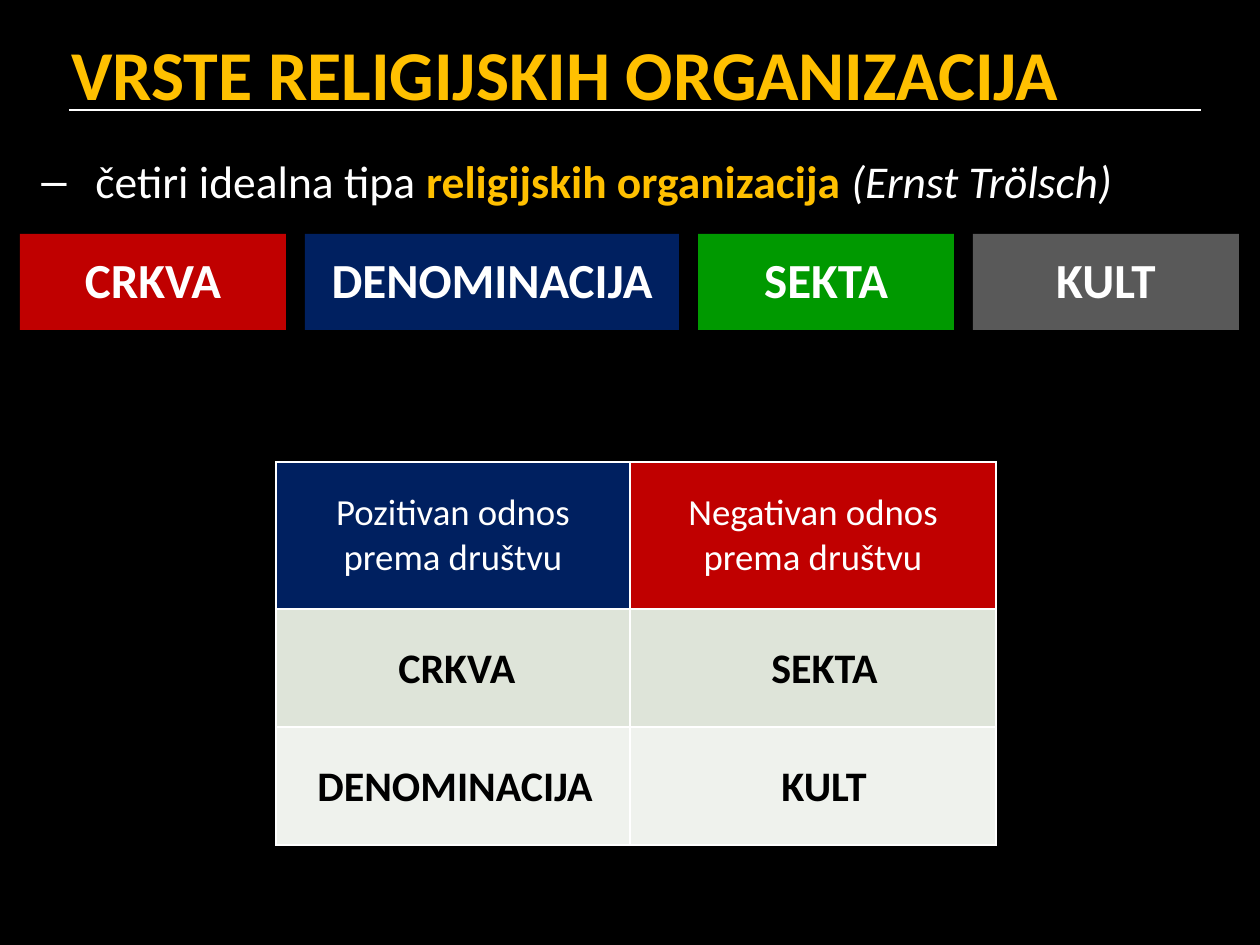
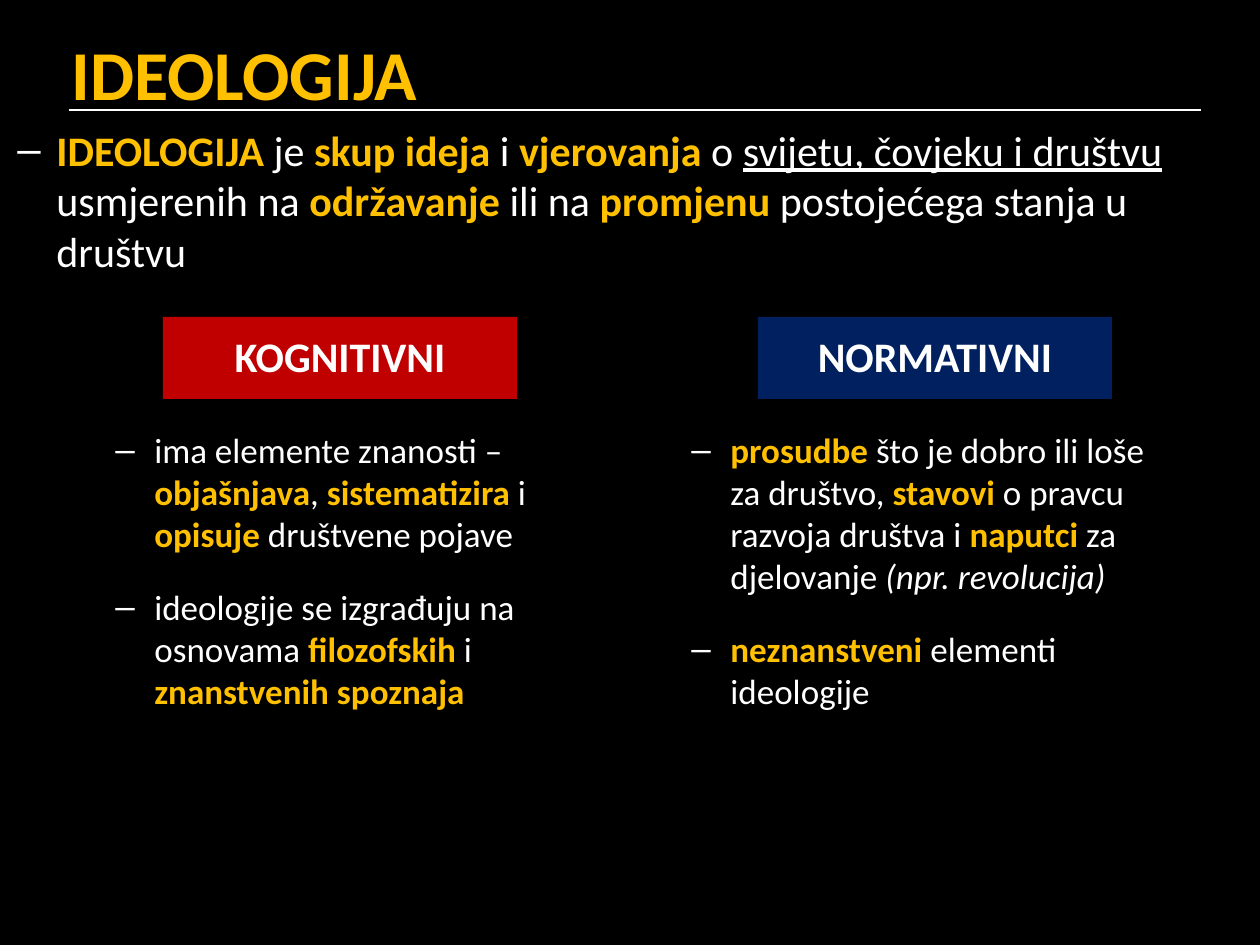
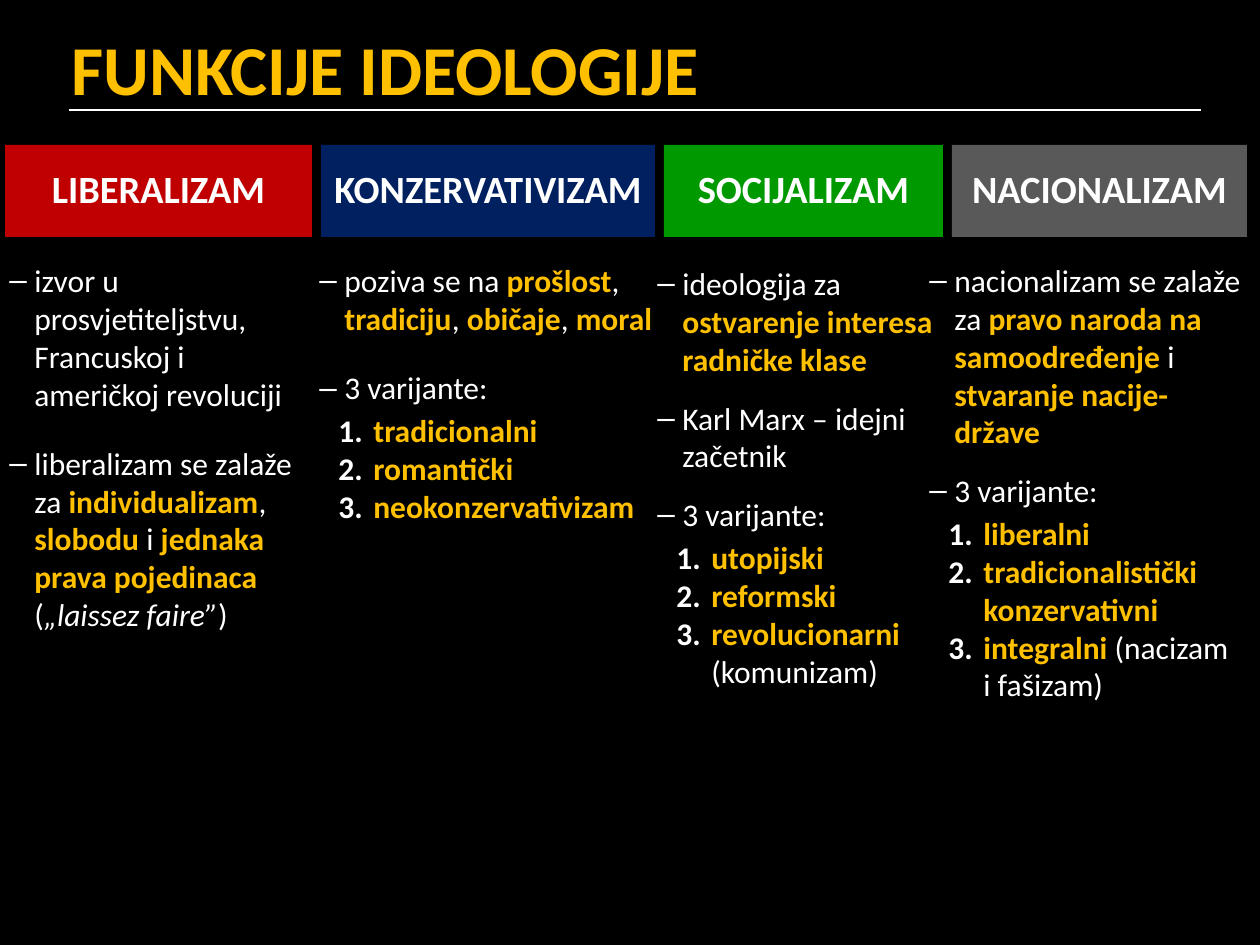
from lxml import etree
from pptx import Presentation
from pptx.dml.color import RGBColor
from pptx.enum.shapes import MSO_CONNECTOR, MSO_SHAPE
from pptx.enum.text import MSO_ANCHOR, MSO_AUTO_SIZE, PP_ALIGN
from pptx.oxml.ns import qn
from pptx.util import Emu, Pt

EMU_PER_PX = 914400 / 126
FONT = "Calibri"
BLACK, WHITE, GOLD = "000000", "FFFFFF", "FFC000"
RED, NAVY, GREEN, GRAY = "C00000", "002060", "009900", "595959"
TABLE_BANDS = ["DEE4D9", "EFF2ED"]
TIGHT = 0.93


def px(length):
    return Emu(round(length * EMU_PER_PX))


def color(value):
    return RGBColor.from_string(value)


def style_span(span, size, ink=WHITE, bold=False):
    span.font.name = FONT
    span.font.size = Pt(size)
    span.font.color.rgb = color(ink)
    span.font.bold = bold


def set_line(frame, text, size, ink=WHITE, bold=True):
    frame.text = text
    para = frame.paragraphs[0]
    style_span(para.runs[0], size, ink, bold)
    return para


def add_spans(para, text, size):
    """Parts are split by |; a first * means key term, / italic, _ underlined."""
    for part in text.split("|"):
        mark = part[0] if part[0] in "*/_" else ""
        span = para.add_run()
        span.text = part[len(mark):]
        style_span(span, size, GOLD if mark == "*" else WHITE, mark == "*")
        if mark == "/":
            span.font.italic = True
        if mark == "_":
            span.font.underline = True


def set_bullet(para, left, hanging, tag, **attributes):
    props = para._p.get_or_add_pPr()
    props.set("marL", str(px(left)))
    props.set("indent", str(-px(hanging)))
    tint = etree.SubElement(props, qn("a:buClr"))
    etree.SubElement(tint, qn("a:srgbClr"), val=WHITE)
    if tag == "a:buChar":
        etree.SubElement(props, qn("a:buFont"), typeface="Arial")
    etree.SubElement(props, qn(tag), **attributes)


def add_box(slide, place, wrap=True):
    box = slide.shapes.add_textbox(*map(px, place))
    box.text_frame.word_wrap = wrap
    return box


def add_points(slide, place, size, indent, points, dash="–", variants=()):
    """Dashed points as (space before, text), then numbered variants."""
    frame = add_box(slide, place).text_frame
    for index, (space, text) in enumerate(points):
        para = frame.add_paragraph() if index else frame.paragraphs[0]
        set_bullet(para, indent, indent, "a:buChar", char=dash)
        para.space_before = Pt(space)
        add_spans(para, text, size)
    for index, text in enumerate(variants):
        para = frame.add_paragraph()
        para.level = 1
        set_bullet(para, 54, 35, "a:buAutoNum", type="arabicPeriod")
        para.space_before = Pt(0 if index else 3)
        add_spans(para, text, size)


def add_labels(slide, left, top, height, gap, size, labels):
    """A row of filled name plates given as (text, width, fill)."""
    for text, width, fill in labels:
        plate = slide.shapes.add_shape(
            MSO_SHAPE.RECTANGLE, *map(px, (left, top, width, height)))
        plate.shadow.inherit = False
        plate.fill.solid()
        plate.fill.fore_color.rgb = color(fill)
        plate.line.fill.background()
        frame = plate.text_frame
        frame.word_wrap = False
        frame.vertical_anchor = MSO_ANCHOR.MIDDLE
        para = set_line(frame, text, size)
        para.alignment = PP_ALIGN.CENTER
        para.line_spacing = TIGHT
        left += width + gap


def add_page(deck, title, top, height):
    slide = deck.slides.add_slide(deck.slide_layouts[6])
    rule = slide.shapes.add_connector(
        MSO_CONNECTOR.STRAIGHT, *map(px, (69, 110, 1201, 110)))
    rule.line.color.rgb = color(WHITE)
    rule.line.width = Pt(1)
    etree.SubElement(rule._element.spPr, qn("a:effectLst"))
    frame = add_box(slide, (59, top, 1231, height)).text_frame
    frame.vertical_anchor = MSO_ANCHOR.MIDDLE
    set_line(frame, title, 40, GOLD)
    return slide


def set_borders(cell, sides):
    props = cell._tc.get_or_add_tcPr()
    for index, side in enumerate(sides):
        edge = etree.Element(qn(f"a:ln{side}"), w=str(Pt(1)))
        fill = etree.SubElement(edge, qn("a:solidFill"))
        etree.SubElement(fill, qn("a:srgbClr"), val=WHITE)
        props.insert(index, edge)


def fill_cell(cell, fill, sides):
    cell.fill.solid()
    cell.fill.fore_color.rgb = color(fill)
    set_borders(cell, sides)


def add_relation_table(slide):
    widths, heights = [354, 366], [147, 118, 118]
    holder = slide.shapes.add_table(
        3, 2, *map(px, (276, 462, sum(widths), sum(heights))))
    table = holder.table
    for column, width in zip(table.columns, widths):
        column.width = px(width)
    for row, height in zip(table.rows, heights):
        row.height = px(height)
    headings = [("Pozitivan odnos prema društvu", NAVY),
                ("Negativan odnos prema društvu", RED)]
    for index, (text, fill) in enumerate(headings):
        cell = table.cell(0, index)
        cell.margin_left = cell.margin_right = px(15)
        cell.margin_top = cell.margin_bottom = px(8)
        cell.vertical_anchor = MSO_ANCHOR.MIDDLE
        para = set_line(cell.text_frame, text, 21, bold=False)
        para.alignment = PP_ALIGN.CENTER
        fill_cell(cell, fill, "B")
        for row, band in enumerate(TABLE_BANDS, start=1):
            fill_cell(table.cell(row, index), band, "LRTB")

    # Type names over the body cells
    for text, left, top, width in [
            ("CRKVA", 386, 640, 144), ("SEKTA", 759, 640, 132),
            ("DENOMINACIJA", 305, 758, 304), ("KULT", 769, 758, 111)]:
        frame = add_box(slide, (left, top, width, 60), wrap=False).text_frame
        frame.auto_size = MSO_AUTO_SIZE.SHAPE_TO_FIT_TEXT
        set_line(frame, text, 24, BLACK).line_spacing = TIGHT


def build_organizations(deck):
    slide = add_page(deck, "VRSTE RELIGIJSKIH ORGANIZACIJA", 29, 88)
    add_points(slide, (29, 147, 1211, 767), 26, 54, [
        (0, "četiri idealna tipa |*religijskih organizacija |/(Ernst Trölsch)")])
    add_labels(slide, 20, 234, 96, 19, 28, [
        ("CRKVA", 266, RED), ("DENOMINACIJA", 374, NAVY),
        ("SEKTA", 256, GREEN), ("KULT", 266, GRAY)])
    add_relation_table(slide)


def build_ideology(deck):
    slide = add_page(deck, "IDEOLOGIJA", 28, 90)
    add_points(slide, (5, 118, 1255, 798), 24, 39, [
        (0, "*IDEOLOGIJA| je |*skup ideja |i|* vjerovanja |o "
            "|_svijetu, čovjeku i društvu |usmjerenih na |*održavanje"
            "| ili na |*promjenu| postojećega stanja u društvu")], dash="‒")
    add_labels(slide, 163, 317, 82, 241, 24, [
        ("KOGNITIVNI", 354, RED), ("NORMATIVNI", 354, NAVY)])
    add_points(slide, (679, 422, 512, 299), 20, 39, [
        (0, "*prosudbe| što je dobro ili loše za društvo, |*stavovi"
            "| o pravcu razvoja društva i |*naputci| za djelovanje "
            "|/(npr. revolucija)"),
        (18, "*neznanstveni |elementi ideologije")])
    add_points(slide, (103, 422, 467, 299), 20, 39, [
        (0, "ima elemente znanosti – |*objašnjava|, |*sistematizira| i "
            "|*opisuje| društvene pojave"),
        (18, "ideologije se izgrađuju na osnovama |*filozofskih |i "
             "|*znanstvenih spoznaja")])


def build_functions(deck):
    slide = add_page(deck, "FUNKCIJE IDEOLOGIJE", 18, 99)
    add_labels(slide, 5, 145, 92, 9, 22, [
        ("LIBERALIZAM", 307, RED), ("KONZERVATIVIZAM", 334, NAVY),
        ("SOCIJALIZAM", 279, GREEN), ("NACIONALIZAM", 295, GRAY)])
    columns = [
        ((-3, 255, 315, 388), [
            (0, "izvor u prosvjetiteljstvu, Francuskoj i američkoj revoluciji"),
            (18, "liberalizam se zalaže za |*individualizam|, |*slobodu| i "
                 "|*jednaka prava pojedinaca |(|/„laissez faire”|)")], []),
        ((307, 255, 363, 285), [
            (0, "poziva se na |*prošlost|, |*tradiciju|, |*običaje|, |*moral"),
            (18, "3 varijante:")],
         ["*tradicionalni", "*romantički", "*neokonzervativizam"]),
        ((645, 258, 312, 506), [
            (0, "ideologija za |*ostvarenje interesa radničke klase"),
            (12, "Karl Marx – idejni začetnik"),
            (12, "3 varijante:")],
         ["*utopijski", "*reformski", "*revolucionarni |(komunizam)"]),
        ((917, 255, 338, 534), [
            (0, "nacionalizam se zalaže za |*pravo naroda na samoodređenje "
                "|i |*stvaranje nacije-države"),
            (12, "3 varijante:")],
         ["*liberalni", "*tradicionalistički konzervativni",
          "*integralni |(nacizam i fašizam)"]),
    ]
    for place, points, variants in columns:
        add_points(slide, place, 18, 25, points, variants=variants)


def main():
    deck = Presentation()
    deck.slide_width, deck.slide_height = px(1260), px(945)
    backdrop = deck.slide_master.background.fill
    backdrop.solid()
    backdrop.fore_color.rgb = color(BLACK)
    build_organizations(deck)
    build_ideology(deck)
    build_functions(deck)
    deck.save("out.pptx")


if __name__ == "__main__":
    main()
